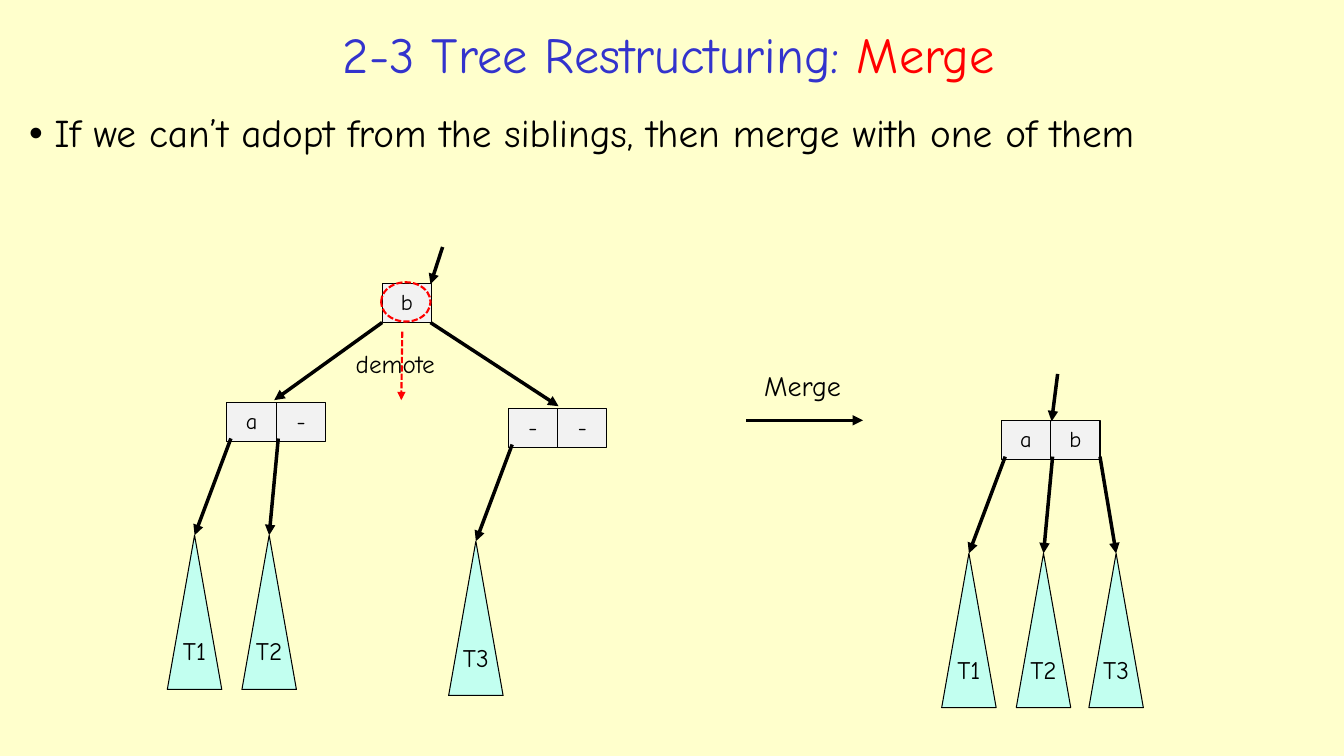
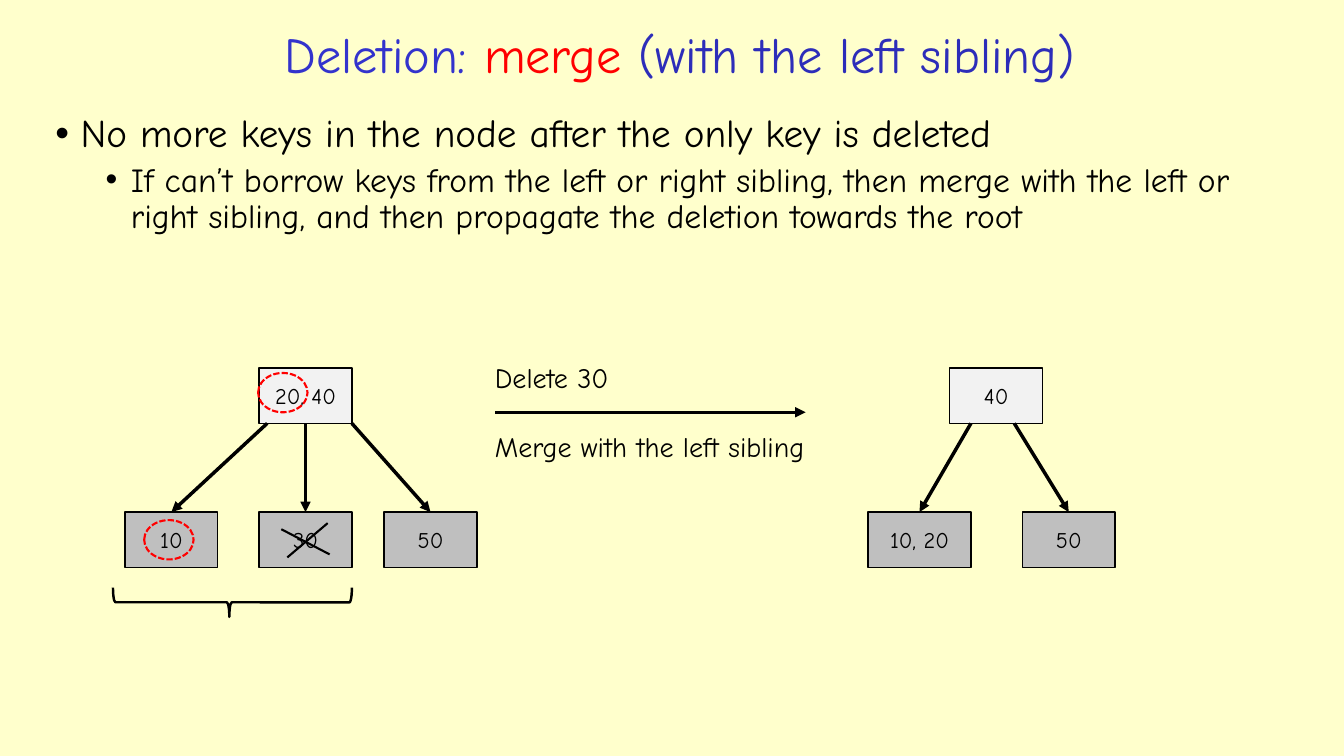
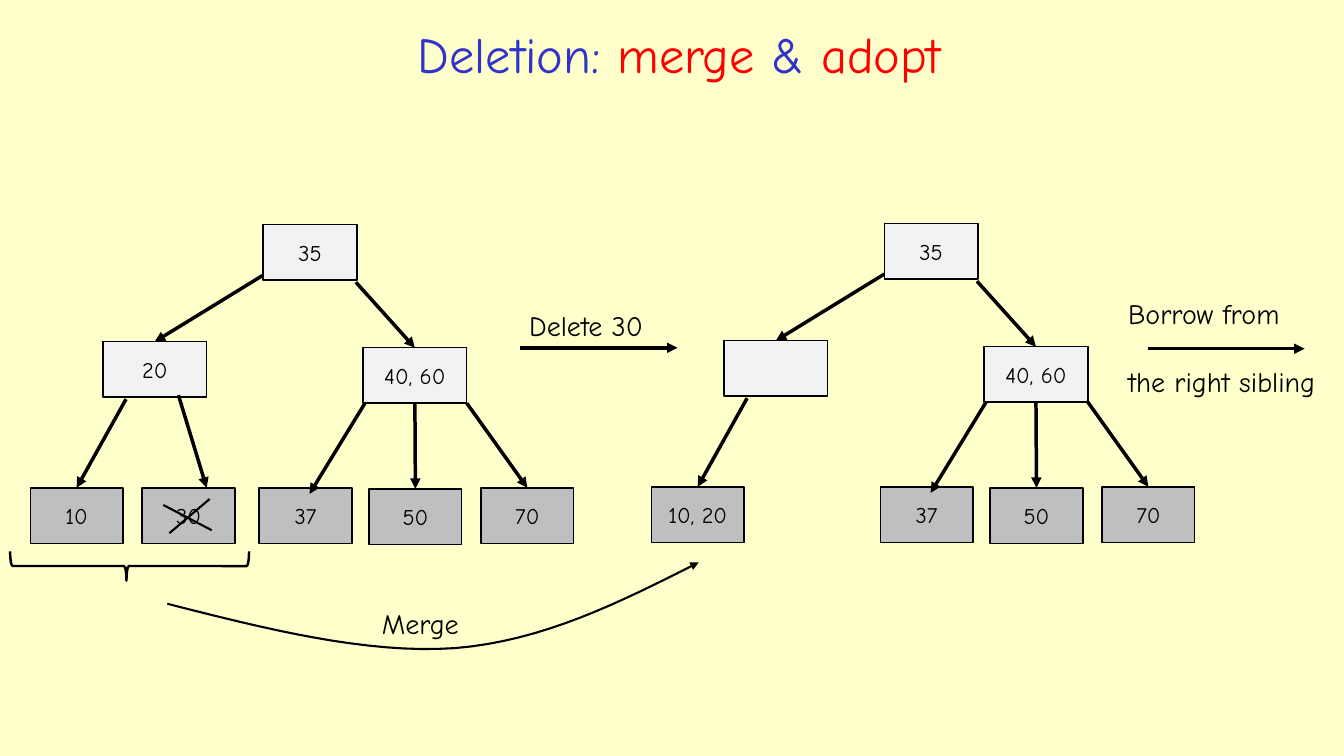
from lxml import etree
from pptx import Presentation
from pptx.dml.color import RGBColor
from pptx.enum.dml import MSO_LINE
from pptx.enum.shapes import MSO_CONNECTOR, MSO_SHAPE
from pptx.enum.text import MSO_ANCHOR, PP_ALIGN
from pptx.oxml.ns import qn
from pptx.util import Inches, Pt

RECTANGLE, OVAL = MSO_SHAPE.RECTANGLE, MSO_SHAPE.OVAL
TRIANGLE, BRACE = MSO_SHAPE.ISOSCELES_TRIANGLE, MSO_SHAPE.RIGHT_BRACE
STRAIGHT, DASH = MSO_CONNECTOR.STRAIGHT, MSO_LINE.SQUARE_DOT
LEFT, CENTER = PP_ALIGN.LEFT, PP_ALIGN.CENTER
TOP, MIDDLE = MSO_ANCHOR.TOP, MSO_ANCHOR.MIDDLE
TOP_SITE, BOTTOM_SITE = 0, 2

CREAM = RGBColor(0xFF, 0xFF, 0xCC)
BLACK = RGBColor(0, 0, 0)
RED = RGBColor(0xFF, 0, 0)
BLUE = RGBColor(0x33, 0x33, 0xCC)
DARK_BLUE = RGBColor(0x2D, 0x2D, 0xB9)
LIGHT_GRAY = RGBColor(0xF2, 0xF2, 0xF2)
GRAY = RGBColor(0xBF, 0xBF, 0xBF)
MINT = RGBColor(0xC2, 0xFF, 0xF0)

FONT = "Comic Neue"
CELL_WIDTH, CELL_HEIGHT = 0.49, 0.39
NODE_WIDTH, WIDE_NODE, NODE_HEIGHT = 0.92, 1.03, 0.55
TRIANGLE_WIDTH, TRIANGLE_HEIGHT = 0.54, 1.53
CHILD_DROP = 1.32
CHILD_LEFTS = (-0.59, 0.15, 0.87)
POINTER_STARTS = (0.04, 0.51, 0.98)

MERGE_TITLE = [("2-3 Tree Restructuring: ", BLUE), ("Merge", RED)]
SIBLING_TITLE = [("Deletion: ", BLUE), ("merge ", RED), ("(with the left sibling)", DARK_BLUE)]
ADOPT_TITLE = [("Deletion: ", BLUE), ("merge", RED), (" & ", BLUE), ("adopt", RED)]

MERGE_BULLETS = [(0, "If we can’t adopt from the siblings, then merge with one of them")]
SIBLING_BULLETS = [
    (0, "No more keys in the node after the only key is deleted"),
    (1, "If can’t borrow keys from the left or right sibling, then merge with the left or "
        "right sibling, and then propagate the deletion towards the root"),
]

SUBTREES = [
    (2.25, 3.99, "a-", ["T1", "T2"]),
    (5.04, 4.05, "--", ["T3"]),
    (9.93, 4.17, "ab", ["T1", "T2", "T3"]),
]
MERGE_ARROWS = [
    ((3.79, 3.2), (2.72, 3.97)),
    ((4.27, 3.2), (5.54, 4.03)),
    ((4.39, 2.45), (4.27, 2.82)),
    ((7.4, 4.17), (8.56, 4.17)),
    ((10.49, 3.71), (10.43, 4.18)),
]

SIBLING_NODES = [
    ("10", 1.24, 5.08, NODE_WIDTH, GRAY),
    ("30", 2.57, 5.08, NODE_WIDTH, GRAY),
    ("20, 40", 2.57, 3.65, NODE_WIDTH, LIGHT_GRAY),
    ("50", 3.81, 5.08, NODE_WIDTH, GRAY),
]
SIBLING_EDGES = [((2.65, 4.2), "10"), ("20, 40", "30"), ((3.49, 4.2), "50")]
MERGED_NODES = [
    ("10, 20", 8.61, 5.08, 1.02, GRAY),
    ("40", 9.42, 3.65, NODE_WIDTH, LIGHT_GRAY),
    ("50", 10.14, 5.08, NODE_WIDTH, GRAY),
]
MERGED_EDGES = [((9.63, 4.2), "10, 20"), ((10.06, 4.2), "50")]

ADOPT_NODES = [
    ("10", 0.3, 4.84, NODE_WIDTH, GRAY),
    ("37", 2.57, 4.84, NODE_WIDTH, GRAY),
    ("50", 3.66, 4.85, NODE_WIDTH, GRAY),
    ("70", 4.77, 4.84, NODE_WIDTH, GRAY),
    ("20", 1.02, 3.39, WIDE_NODE, LIGHT_GRAY),
    ("35", 2.61, 2.23, 0.93, LIGHT_GRAY),
    ("40, 60", 3.6, 3.45, WIDE_NODE, LIGHT_GRAY),
]
ADOPT_EDGES = [
    ((1.25, 3.96), "10"),
    ((3.62, 4), (3.07, 4.9)),
    ("40, 60", "50"),
    ((4.63, 4), "70"),
    ((2.61, 2.73), "20"),
    ((3.53, 2.8), "40, 60"),
]
DELETED_NODE = ("30", 1.41, 4.84, NODE_WIDTH, GRAY)
DELETED_EDGE = ((1.77, 3.92), (2.05, 4.84))
AFTER_LABELS = {"10": "10, 20", "20": ""}
AFTER_OFFSET = (6.16, -0.01)
CROSS_STROKES = [((0.22, 0.17), (0.7, 0.42)), ((0.68, 0.11), (0.28, 0.45))]
MERGE_CURVE = [
    ((1.66, 5.99), (2.64, 6.24), (3.63, 6.49), (4.51, 6.43)),
    ((4.51, 6.43), (5.39, 6.36), (6.16, 5.97), (6.93, 5.58)),
]
CURVE_STEPS = 16


def format_runs(paragraph, size, colors):
    for run, color in zip(paragraph.runs, colors):
        run.font.name = FONT
        run.font.size = Pt(size)
        run.font.color.rgb = color


def style_line(shape, color, width, dashed=False, arrow=False):
    shape.line.color.rgb = color
    shape.line.width = Pt(width)
    if dashed:
        shape.line.dash_style = DASH
    if arrow:
        outline = shape.element.spPr.find(qn("a:ln"))
        etree.SubElement(outline, qn("a:tailEnd"), type="triangle")


def add_text(slide, left, top, width, height, lines, size=20, align=LEFT, gap=0):
    text_frame = slide.shapes.add_textbox(
        Inches(left), Inches(top), Inches(width), Inches(height)).text_frame
    text_frame.word_wrap = True
    text_frame.text = "\n".join(lines)
    for index, paragraph in enumerate(text_frame.paragraphs):
        paragraph.alignment = align
        if index:
            paragraph.space_before = Pt(gap)
        format_runs(paragraph, size, [BLACK])
    return text_frame


def add_title(slide, left, width, parts):
    text_frame = add_text(slide, left, 0.15, width, 0.76, [], align=CENTER)
    text_frame.vertical_anchor = MIDDLE
    paragraph = text_frame.paragraphs[0]
    for text, color in parts:
        paragraph.add_run().text = text
    format_runs(paragraph, 36, [color for text, color in parts])


def add_bullets(slide, left, width, height, bullets):
    text_frame = add_text(slide, left, 1.08, width, height, [text for level, text in bullets])
    for index, (level, text) in enumerate(bullets):
        paragraph = text_frame.paragraphs[index]
        paragraph.level = level
        paragraph.line_spacing = 0.9
        if index:
            paragraph.space_before = Pt(5)
        properties = paragraph._p.get_or_add_pPr()
        properties.set("marL", str(Inches(0.25 + 0.5 * level)))
        properties.set("indent", str(Inches(-0.25)))
        etree.SubElement(properties, qn("a:buFont"), typeface="Arial")
        etree.SubElement(properties, qn("a:buChar"), char="•")
        format_runs(paragraph, 28 - 4 * level, [BLACK])


def add_box(slide, kind, left, top, width, height, fill=None, label="", size=16,
            line=(BLACK, 1), wrap=True, dashed=False):
    shape = slide.shapes.add_shape(
        kind, Inches(left), Inches(top), Inches(width), Inches(height))
    shape.shadow.inherit = False
    if fill is None:
        shape.fill.background()
    else:
        shape.fill.solid()
        shape.fill.fore_color.rgb = fill
    style_line(shape, *line, dashed=dashed)
    if label:
        text_frame = shape.text_frame
        text_frame.word_wrap = wrap
        text_frame.vertical_anchor = MIDDLE
        text_frame.text = label
        text_frame.paragraphs[0].alignment = CENTER
        format_runs(text_frame.paragraphs[0], size, [BLACK])
    return shape


def add_line(slide, begin, end, color=BLACK, width=2.5, dashed=False, arrow=True):
    points = [(0, 0) if hasattr(place, "shape_id") else place for place in (begin, end)]
    connector = slide.shapes.add_connector(
        STRAIGHT, *[Inches(value) for point in points for value in point])
    if hasattr(begin, "shape_id"):
        connector.begin_connect(begin, BOTTOM_SITE)
    if hasattr(end, "shape_id"):
        connector.end_connect(end, TOP_SITE)
    style_line(connector, color, width, dashed, arrow)
    etree.SubElement(connector.element.spPr, qn("a:effectLst"))


def add_tree(slide, nodes, edges, labels=None, offset=(0, 0)):
    across, down = offset
    shapes = {}
    for key, left, top, width, fill in nodes:
        label = (labels or {}).get(key, key)
        shapes[key] = add_box(slide, RECTANGLE, left + across, top + down,
                              width, NODE_HEIGHT, fill, label)
    for edge in edges:
        begin, end = [shapes[place] if isinstance(place, str)
                      else (place[0] + across, place[1] + down) for place in edge]
        add_line(slide, begin, end)


def add_cell(slide, left, top, key):
    add_box(slide, RECTANGLE, left, top, CELL_WIDTH, CELL_HEIGHT, LIGHT_GRAY, key,
            line=(BLACK, 0.75)).text_frame.vertical_anchor = TOP


def add_subtree(slide, left, top, keys, children):
    for index, key in enumerate(keys):
        add_cell(slide, left + index * CELL_WIDTH, top, key)
    for label, child_left, start in zip(children, CHILD_LEFTS, POINTER_STARTS):
        child = add_box(slide, TRIANGLE, left + child_left, top + CHILD_DROP,
                        TRIANGLE_WIDTH, TRIANGLE_HEIGHT, MINT, label, 18,
                        line=(BLACK, 0.75), wrap=False)
        add_line(slide, (left + start, top + 0.36), child)


def add_key_ring(slide, left, top):
    add_box(slide, OVAL, left, top, CELL_WIDTH, CELL_HEIGHT, line=(RED, 1.5), dashed=True)


def add_cross(slide, left, top):
    for stroke in CROSS_STROKES:
        begin, end = [(left + x, top + y) for x, y in stroke]
        add_line(slide, begin, end, width=1.5, arrow=False)


def add_brace(slide, left, top):
    brace = add_box(slide, BRACE, left, top, 0.29, 2.37, line=(BLACK, 1.75))
    brace.adjustments[0] = 0.083
    brace.adjustments[1] = 0.513
    brace.rotation = 90


def curve_point(controls, t):
    weights = ((1 - t) ** 3, 3 * t * (1 - t) ** 2, 3 * t * t * (1 - t), t ** 3)
    return tuple(Inches(sum(weight * point[axis] for weight, point in zip(weights, controls)))
                 for axis in (0, 1))


def add_curve(slide, segments):
    start = curve_point(segments[0], 0)
    builder = slide.shapes.build_freeform(*start)
    builder.add_line_segments(
        [curve_point(controls, step / CURVE_STEPS)
         for controls in segments for step in range(1, CURVE_STEPS + 1)], close=False)
    curve = builder.convert_to_shape()
    curve.shadow.inherit = False
    curve.fill.background()
    style_line(curve, BLACK, 1.5, arrow=True)


def build_merge(slide):
    add_title(slide, 0.97, 11.33, MERGE_TITLE)
    add_bullets(slide, 0.19, 12.88, 0.74, MERGE_BULLETS)
    for subtree in SUBTREES:
        add_subtree(slide, *subtree)
    add_cell(slide, 3.79, 2.81, "b")
    for begin, end in MERGE_ARROWS:
        add_line(slide, begin, end)
    add_key_ring(slide, 3.78, 2.8)
    add_line(slide, (3.99, 3.29), (3.98, 3.97), RED, 1.5, dashed=True)
    add_text(slide, 3.43, 3.41, 1.08, 0.4, ["demote"], 18)
    add_text(slide, 7.44, 3.61, 1.04, 0.44, ["Merge"], align=CENTER)


def build_sibling(slide):
    add_title(slide, 1.97, 9.54, SIBLING_TITLE)
    add_bullets(slide, 0.45, 12.55, 1.53, SIBLING_BULLETS)
    add_tree(slide, SIBLING_NODES, SIBLING_EDGES)
    add_tree(slide, MERGED_NODES, MERGED_EDGES)
    add_line(slide, (4.91, 4.09), (7.99, 4.09))
    add_text(slide, 4.81, 3.53, 3.76, 1.11, ["Delete 30", "Merge with the left sibling"], gap=25)
    add_cross(slide, 2.57, 5.08)
    add_key_ring(slide, 2.56, 3.7)
    add_key_ring(slide, 1.43, 5.16)
    add_brace(slide, 2.16, 4.79)


def build_adopt(slide):
    add_title(slide, 1.97, 9.54, ADOPT_TITLE)
    add_tree(slide, ADOPT_NODES + [DELETED_NODE], ADOPT_EDGES + [DELETED_EDGE])
    add_tree(slide, ADOPT_NODES, ADOPT_EDGES, AFTER_LABELS, AFTER_OFFSET)
    add_cross(slide, 1.4, 4.84)
    add_line(slide, (5.16, 3.45), (6.72, 3.45))
    add_text(slide, 5.15, 3.01, 1.69, 0.44, ["Delete 30"])
    add_line(slide, (11.39, 3.46), (12.94, 3.46))
    add_text(slide, 11.09, 2.89, 2.4, 1.11, ["Borrow from", "the right sibling"], gap=25)
    add_brace(slide, 1.14, 4.43)
    add_curve(slide, MERGE_CURVE)
    add_text(slide, 3.69, 5.97, 1.24, 0.44, ["Merge"])


def main():
    presentation = Presentation()
    presentation.slide_width = Inches(13.33)
    presentation.slide_height = Inches(7.5)
    background = presentation.slide_master.background.fill
    background.solid()
    background.fore_color.rgb = CREAM
    for build in (build_merge, build_sibling, build_adopt):
        build(presentation.slides.add_slide(presentation.slide_layouts[6]))
    presentation.save("out.pptx")


if __name__ == "__main__":
    main()
